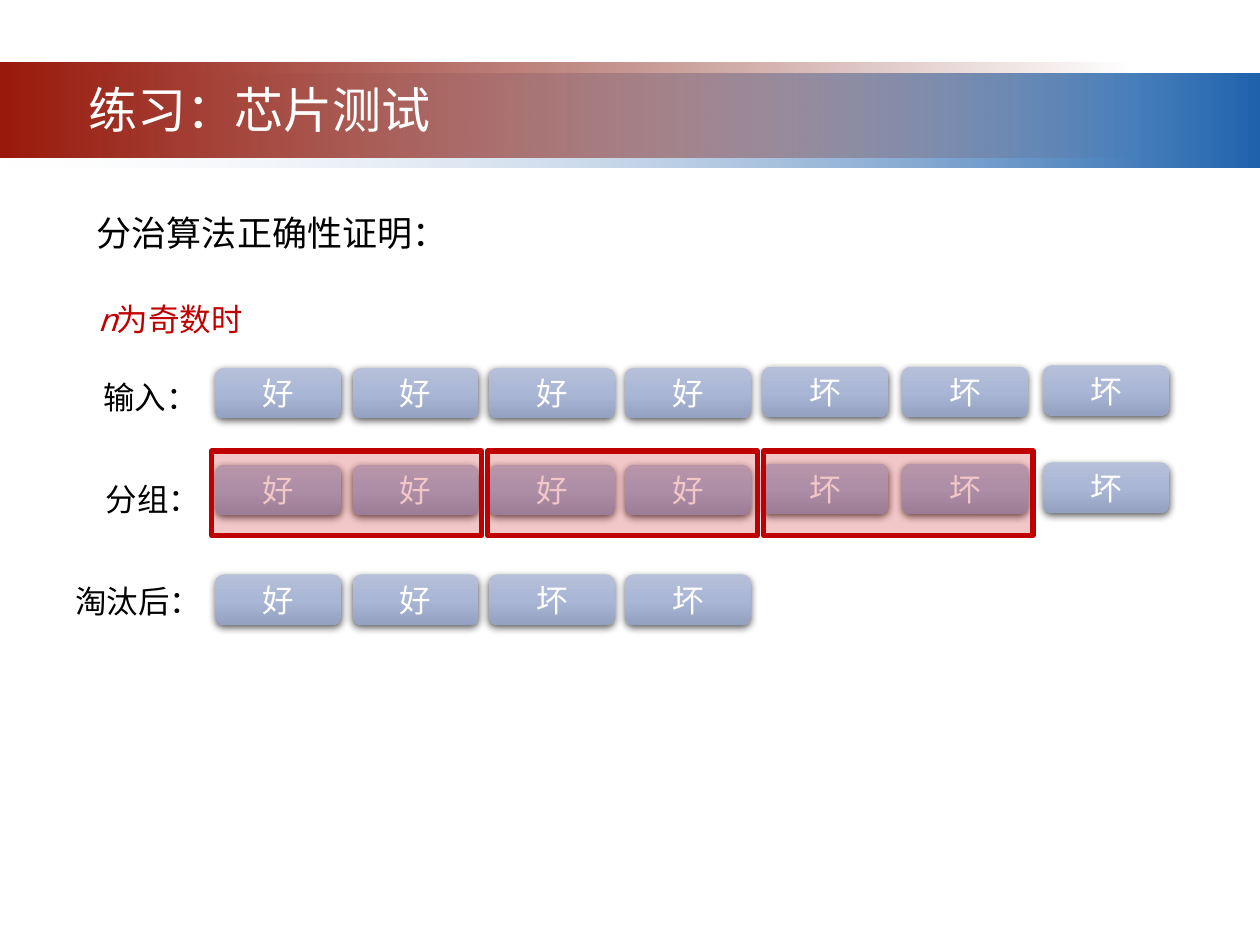
import pptx
import pptx.util
import pptx.dml.color
import pptx.enum.shapes
import pptx.enum.text
import pptx.oxml
import pptx.oxml.ns
from pptx.util import Inches

THEME = {
    "title_font": "Noto Sans CJK SC", "body_font": "Noto Sans Mono",
    "title_size": 28, "heading_size": 20, "text_size": 18,
    "white": "FFFFFF", "black": "000000", "red": "C00000",
    "chip": [(0, "B6C0D9", 100), (50, "A9B6D5", 100), (100, "94A1C0", 100)],
    "blue_band": [(0, "F1F2F7", 0), (100, "1F63AD", 100)],
    "red_band": [(0, "99190B", 100), (100, "6D1208", 0)],
}

TITLE = "练习：芯片测试"
HEADING = "分治算法正确性证明："
CASE = [("n", True), ("为奇数时", False)]
BANDS = [(0.58, 10, THEME["blue_band"]), (0.5, 9, THEME["red_band"])]
COLUMNS = [(1.71, 0), (2.8, 0), (3.88, 0), (4.96, 0), (6.05, 0.01), (7.16, 0.01), (8.28, 0.02)]
ROWS = [
    {"top": 2.92, "chips": "好好好好坏坏坏", "label": "输入：", "label_at": (0.72, 2.95, 0.96, 0.4)},
    {"top": 3.69, "chips": "好好好好坏坏坏", "label": "分组：", "label_at": (0.74, 3.76, 0.96, 0.4)},
    {"top": 4.56, "chips": "好好坏坏", "label": "淘汰后：", "label_at": (0.5, 4.57, 1.21, 0.4)},
]
CHIP_SIZE = (1, 0.4)
GROUPED_ROW = 1
GROUP_COUNT, GROUP_LEFT, GROUP_PITCH, GROUP_TOP = 3, 1.68, 2.19, 3.58
GROUP_SIZE = (2.14, 0.67)

SHAPES = pptx.enum.shapes.MSO_SHAPE
ALIGN = pptx.enum.text.PP_ALIGN
ANCHOR = pptx.enum.text.MSO_ANCHOR
NAMESPACE = pptx.oxml.ns.nsdecls("a")


def color(value):
    return pptx.dml.color.RGBColor.from_string(value)


def write_text(shape, runs, size=THEME["text_size"], font=THEME["body_font"], fill=THEME["black"],
               align=ALIGN.LEFT, anchor=ANCHOR.TOP, wrap=False):
    frame = shape.text_frame
    frame.word_wrap = wrap
    frame.vertical_anchor = anchor
    para = frame.paragraphs[0]
    para.alignment = align
    for text, italic in runs:
        span = para.add_run()
        span.text = text
        span.font.size = pptx.util.Pt(size)
        span.font.name = font
        span.font.italic = italic
        span.font.color.rgb = color(fill)
        span.font._element.append(pptx.oxml.parse_xml(f'<a:ea {NAMESPACE} typeface="{font}"/>'))


def add_label(page, at, runs, **style):
    box = page.shapes.add_textbox(*map(Inches, at))
    write_text(box, runs, **style)


def add_block(page, kind, at):
    shape = page.shapes.add_shape(kind, *map(Inches, at))
    shape.shadow.inherit = False
    shape.fill.solid()
    shape.fill.fore_color.rgb = color(THEME["red"])
    shape.line.fill.background()
    return shape


def set_gradient(shape, stops, angle):
    marks = "".join(
        f'<a:gs pos="{place * 1000}"><a:srgbClr val="{value}"><a:alpha val="{opacity * 1000}"/></a:srgbClr></a:gs>'
        for place, value, opacity in stops)
    properties = shape._element.spPr
    properties.replace(properties.find(pptx.oxml.ns.qn("a:solidFill")), pptx.oxml.parse_xml(
        f'<a:gradFill {NAMESPACE} rotWithShape="1"><a:gsLst>{marks}</a:gsLst>'
        f'<a:lin ang="{angle * 60000}" scaled="0"/></a:gradFill>'))


def add_chip(page, left, top, text):
    chip = add_block(page, SHAPES.ROUNDED_RECTANGLE, (left, top, *CHIP_SIZE))
    set_gradient(chip, THEME["chip"], 90)
    effects = chip._element.spPr.find(pptx.oxml.ns.qn("a:effectLst"))
    effects.append(pptx.oxml.parse_xml(
        f'<a:outerShdw {NAMESPACE} blurRad="57150" dist="19050" dir="5400000" algn="ctr" rotWithShape="0">'
        '<a:srgbClr val="000000"><a:alpha val="63000"/></a:srgbClr></a:outerShdw>'))
    write_text(chip, [(text, False)], fill=THEME["white"], align=ALIGN.CENTER,
               anchor=ANCHOR.MIDDLE, wrap=True)


def add_group(page, left):
    group = add_block(page, SHAPES.RECTANGLE, (left, GROUP_TOP, *GROUP_SIZE))
    solid = group._element.spPr.find(pptx.oxml.ns.qn("a:solidFill"))
    solid[0].append(pptx.oxml.parse_xml(f'<a:alpha {NAMESPACE} val="22000"/>'))
    group.line.color.rgb = color(THEME["red"])
    group.line.width = pptx.util.Pt(3)


def main():
    deck = pptx.Presentation()
    deck.slide_width, deck.slide_height = Inches(10), Inches(7.5)
    page = deck.slides.add_slide(deck.slide_layouts[5])

    for top, width, stops in BANDS:
        set_gradient(add_block(page, SHAPES.RECTANGLE, (0, top, width, 0.75)), stops, 0)

    title = page.shapes.title
    title.left, title.top, title.width, title.height = map(Inches, (0.6, 0.58, 6.88, 0.57))
    write_text(title, [(TITLE, False)], size=THEME["title_size"], font=THEME["title_font"],
               fill=THEME["white"], anchor=ANCHOR.MIDDLE, wrap=True)
    page.shapes._spTree.append(title._element)

    add_label(page, (0.67, 1.63, 3.01, 0.44), [(HEADING, False)], size=THEME["heading_size"])
    add_label(page, (0.68, 2.33, 1.35, 0.4), CASE, fill=THEME["red"], wrap=True)

    for number, row in enumerate(ROWS):
        for (left, lift), text in zip(COLUMNS, row["chips"]):
            add_chip(page, left, row["top"] - lift, text)
        if number == GROUPED_ROW:
            for index in range(GROUP_COUNT):
                add_group(page, GROUP_LEFT + index * GROUP_PITCH)
        add_label(page, row["label_at"], [(row["label"], False)])

    deck.save("out.pptx")


if __name__ == "__main__":
    main()
